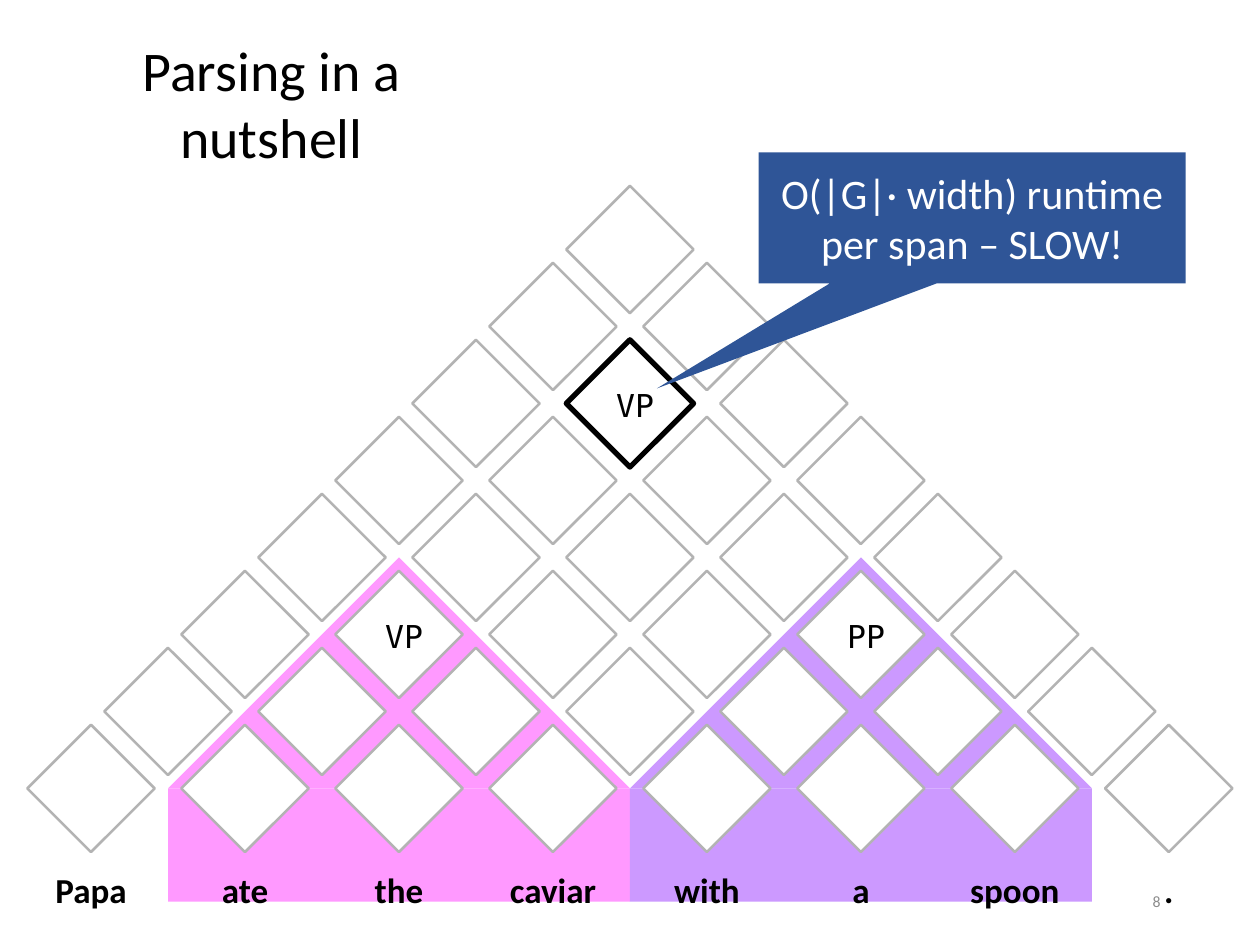
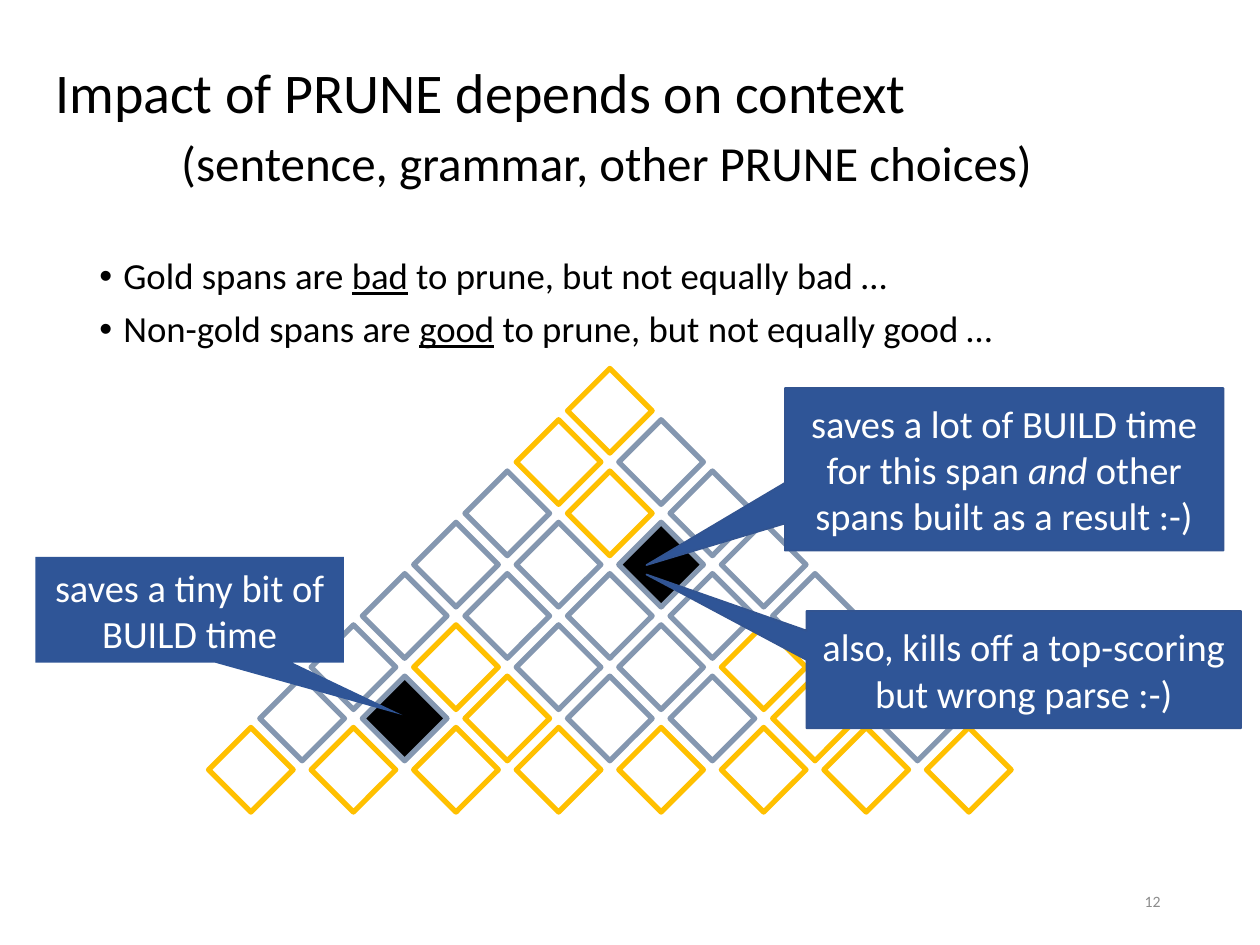
"""Build two slides that show parse charts as pyramids of span cells."""
import lxml.etree
import pptx
import pptx.dml.color
import pptx.enum.shapes
import pptx.enum.text
import pptx.oxml.ns
import pptx.util

COLORS = {
    "black": "000000", "white": "FFFFFF", "grey": "B3B3B3", "number": "8C8C8C",
    "pink": "FF99FF", "purple": "CC99FF", "gold": "FFC000", "steel": "8497B0",
    "callout": "2F5597", "edge": "325491",
}
FONT, MONO = "Calibri", "DejaVu Sans Mono"
WIDTH, HEIGHT = 10, 7.5
ROWS = 8

WORDS = ["Papa", "ate", "the", "caviar", "with", "a", "spoon", "."]
NUTSHELL = {"apex": (5.0, 1.98), "pitch": 1.222, "side": 0.715}
PHRASES = [(2, "pink"), (5, "purple")]
PHRASE_WORDS, PHRASE_FOOT = 3, 0.9
LABELS = [("VP", 5, 1), ("PP", 5, 4), ("VP", 2, 1)]
SLOW_SPAN = (2, 1)

PRUNING = {"apex": (4.84, 3.26), "pitch": 0.814, "side": 0.475}
GOLD_SPANS = {(0, 0), (1, 0), (2, 1), (5, 1), (5, 4), (6, 2), (6, 5)}
GOLD_SPANS |= {(ROWS - 1, column) for column in range(ROWS)}
PRUNED_SPANS = {(6, 1), (3, 2)}
BULLETS = [
    [("Gold spans are ", {}), ("bad", {"underline": True}),
     (" to prune, but not equally bad …", {})],
    [("Non-gold spans are ", {}), ("good", {"underline": True}),
     (" to prune, but not equally good …", {})],
]

SLOW_CALLOUT = {
    "at": (6.02, 1.21, 3.39, 1.04), "tail": (-0.738, 1.301), "size": 24,
    "text": "O(|G|· width) runtime per span – SLOW!",
}
PRUNE_CALLOUTS = [
    {"at": (6.23, 3.08, 3.48, 1.29), "tail": (-0.816, 0.589), "edge": "edge",
     "text": [("saves a lot of BUILD time for this span ", {}),
              ("and", {"italic": True}),
              (" other spans built as a result :-)", {})]},
    {"at": (0.28, 4.42, 2.45, 0.84), "tail": (0.689, 0.994),
     "text": "saves a tiny bit of BUILD time"},
    {"at": (6.4, 4.85, 3.45, 0.93), "tail": (-0.868, -0.812), "edge": "edge",
     "text": "also, kills off a top-scoring but wrong parse :-)"},
]

SHAPES = pptx.enum.shapes.MSO_SHAPE
ALIGN = pptx.enum.text.PP_ALIGN
ANCHOR = pptx.enum.text.MSO_ANCHOR


def rgb(name):
    return pptx.dml.color.RGBColor.from_string(COLORS[name])


def inches(values):
    return [pptx.util.Inches(value) for value in values]


def write(box, text, size=22, color="black", font=FONT, bold=None, align=ALIGN.LEFT,
          anchor=ANCHOR.TOP, inset=(0.1, 0.05), first=True):
    frame = box.text_frame
    frame.word_wrap = True
    frame.vertical_anchor = anchor
    frame.margin_left = frame.margin_right = pptx.util.Inches(inset[0])
    frame.margin_top = frame.margin_bottom = pptx.util.Inches(inset[1])
    para = frame.paragraphs[0] if first else frame.add_paragraph()
    para.alignment = align
    for words, marks in [(text, {})] if isinstance(text, str) else text:
        span = para.add_run()
        span.text = words
        span.font.name = font
        span.font.size = pptx.util.Pt(size)
        span.font.bold = bold
        span.font.color.rgb = rgb(color)
        for mark, value in marks.items():
            setattr(span.font, mark, value)
    return para


def add_text(page, at, text, **style):
    box = page.shapes.add_textbox(*inches(at))
    write(box, text, **style)
    return box


def indent(para, left, hanging=0):
    properties = para._p.get_or_add_pPr()
    properties.set("marL", str(pptx.util.Inches(left)))
    properties.set("indent", str(pptx.util.Inches(-hanging)))
    return properties


def add_bullet(box, text, first):
    para = write(box, text, size=21, first=first)
    para.line_spacing = 0.9
    para.space_before = pptx.util.Pt(7.5)
    properties = indent(para, 0.19, 0.19)
    for tag, name, value in [("a:buFont", "typeface", "Arial"), ("a:buChar", "char", "•")]:
        mark = lxml.etree.SubElement(properties, pptx.oxml.ns.qn(tag))
        mark.set(name, value)


def add_block(page, kind, at, fill, line=None, weight=1):
    block = page.shapes.add_shape(kind, *inches(at))
    block.shadow.inherit = False
    block.fill.solid()
    block.fill.fore_color.rgb = rgb(fill)
    if line:
        block.line.color.rgb = rgb(line)
        block.line.width = pptx.util.Pt(weight)
    else:
        block.line.fill.background()
    return block


def add_callout(page, at, text, tail, size=22, edge=None):
    callout = add_block(page, SHAPES.RECTANGULAR_CALLOUT, at, "callout", edge)
    callout.adjustments[0], callout.adjustments[1] = tail
    write(callout, text, size=size, color="white", align=ALIGN.CENTER, anchor=ANCHOR.MIDDLE)


def cell_center(grid, row, column):
    x, y = grid["apex"]
    return x + (column - row / 2) * grid["pitch"], y + row * grid["pitch"] / 2


def add_pyramid(page, grid, cell_style):
    side = grid["side"]
    for row in range(ROWS):
        for column in range(row + 1):
            x, y = cell_center(grid, row, column)
            at = (x - side / 2, y - side / 2, side, side)
            cell = add_block(page, SHAPES.RECTANGLE, at, *cell_style((row, column)))
            cell.rotation = 315


def add_phrase(page, column, color):
    x, y = cell_center(NUTSHELL, ROWS - 1, column)
    width = PHRASE_WORDS * NUTSHELL["pitch"]
    left, height = x - width / 2, width / 2
    add_block(page, SHAPES.ISOSCELES_TRIANGLE, (left, y - height, width, height), color)
    add_block(page, SHAPES.RECTANGLE, (left, y, width, PHRASE_FOOT), color)


def add_label(page, text, row, column):
    x, y = cell_center(NUTSHELL, row, column)
    add_text(page, (x - 0.2, y - 0.18, 0.59, 0.39), text, size=18, font=MONO,
             inset=(0.09, 0.04))


def add_page(deck, number):
    page = deck.slides.add_slide(deck.slide_layouts[6])
    add_text(page, (7.06, 6.95, 2.25, 0.4), str(number), size=9, color="number",
             align=ALIGN.RIGHT, anchor=ANCHOR.MIDDLE)
    return page


def nutshell_style(span):
    return ("white", "black", 3) if span == SLOW_SPAN else ("white", "grey", 1.45)


def pruning_style(span):
    fill = "black" if span in PRUNED_SPANS else "white"
    return fill, "gold" if span in GOLD_SPANS else "steel", 3


def build_nutshell(deck):
    page = add_page(deck, 8)
    for column, color in PHRASES:
        add_phrase(page, column, color)
    add_pyramid(page, NUTSHELL, nutshell_style)
    pitch = NUTSHELL["pitch"]
    for column, word in enumerate(WORDS):
        x, _ = cell_center(NUTSHELL, ROWS - 1, column)
        add_text(page, (x - pitch / 2, 6.85, pitch, 0.36), word, size=20, bold=True,
                 align=ALIGN.CENTER, inset=(0.09, 0.04))
    add_callout(page, **SLOW_CALLOUT)
    for label in LABELS:
        add_label(page, *label)
    add_text(page, (0.26, 0.23, 3.79, 0.64), "Parsing in a nutshell", size=32,
             align=ALIGN.CENTER, inset=(0.4, 0.05))


def build_pruning(deck):
    page = add_page(deck, 12)
    title = add_text(page, (0.34, 0.41, 7.97, 1.18), "Impact of PRUNE depends on context",
                     size=32)
    subtitle = write(title, "(sentence, grammar, other PRUNE choices)", size=28, first=False)
    subtitle.space_before = pptx.util.Pt(4)
    indent(subtitle, 1)
    body = page.shapes.add_textbox(*inches((0.69, 2, 8.62, 4.76)))
    for index, text in enumerate(BULLETS):
        add_bullet(body, text, index == 0)
    add_pyramid(page, PRUNING, pruning_style)
    for callout in PRUNE_CALLOUTS:
        add_callout(page, **callout)


def main():
    deck = pptx.Presentation()
    deck.slide_width, deck.slide_height = inches((WIDTH, HEIGHT))
    build_nutshell(deck)
    build_pruning(deck)
    deck.save("out.pptx")


if __name__ == "__main__":
    main()
